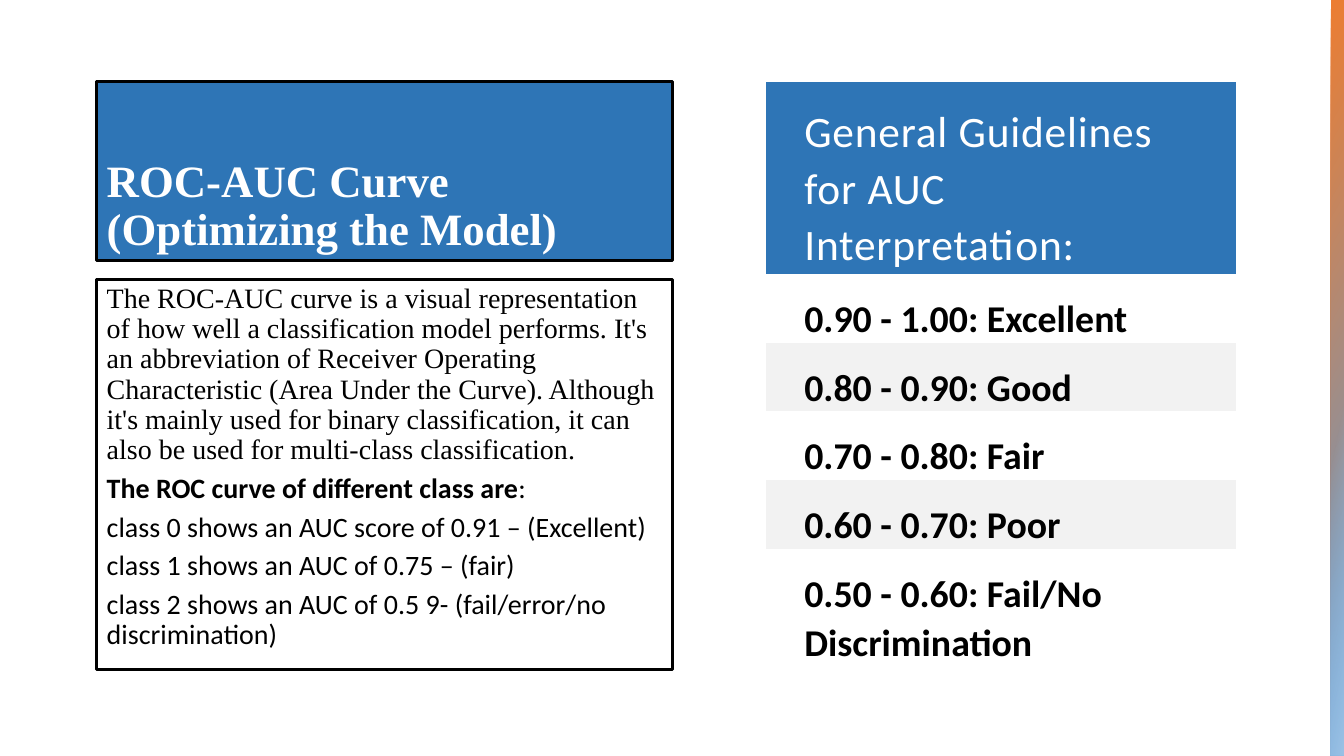
import lxml.etree
import pptx
import pptx.dml.color
import pptx.enum.shapes
import pptx.enum.text
import pptx.oxml
import pptx.oxml.ns
import pptx.util

Cm, Pt = pptx.util.Cm, pptx.util.Pt
qn = pptx.oxml.ns.qn
Anchor = pptx.enum.text.MSO_ANCHOR

HUES = {"blue": "2E75B6", "white": "FFFFFF", "black": "000000", "grey": "F2F2F2",
        "orange": "ED7D31", "sky": "5B9BD5", "pale": "9DC3E6"}
SERIF = {"name": "Times New Roman", "bold": False}
SANS = {"name": "Calibri", "bold": False}
STRONG = {"name": "Calibri", "bold": True}

TITLE = [[("ROC-AUC Curve (Optimizing the Model)", {**SERIF, "bold": True})]]
BODY = [
    [("The ROC-AUC curve is a visual representation of how well a classification model "
      "performs. It's an abbreviation of Receiver Operating Characteristic (Area Under the "
      "Curve). Although it's mainly used for binary classification, it can also be used for "
      "multi-class classification.", SERIF)],
    [("The ROC curve of different class are", STRONG), (":", SANS)],
    [("class 0 shows an AUC score of 0.91 – (Excellent)", SANS)],
    [("class 1 shows an AUC of 0.75 – (fair)", SANS)],
    [("class 2 shows an AUC of 0.5 9- (fail/error/no discrimination)", SANS)],
]
HEAD = "General Guidelines for AUC Interpretation:"
BANDS = ["0.90 - 1.00: Excellent", "0.80 - 0.90: Good", "0.70 - 0.80: Fair",
         "0.60 - 0.70: Poor", "0.50 - 0.60: Fail/No Discrimination"]

WIDE, TALL = 33.87, 19.05
LEFT, TOP, SPAN = 2.44, 2.06, 14.5
GRID_X, GRID_W = 19.3, 11.86
HIGHS = [4.85] + [1.73] * 4 + [3.02]
STRIP = 0.33
LOW = 9.25
STRIPS = [
    (0, TALL, 30, [(0, "orange", 100), (100, "sky", 100)]),
    (TALL - LOW, LOW, 10, [(19, "pale", 0), (100, "pale", 100)]),
]
NO_STYLE = "{2D5ABB26-0587-4C30-8999-92F81FD0307C}"


def tint(name):
    return pptx.dml.color.RGBColor.from_string(HUES[name])


def apply(item, form):
    for key, value in form.items():
        setattr(item, key, value)


def write(frame, paras, size, hue, form):
    for num, runs in enumerate(paras):
        para = frame.paragraphs[0] if num == 0 else frame.add_paragraph()
        apply(para, form)
        for text, font in runs:
            run = para.add_run()
            run.text = text
            apply(run.font, {**font, "size": Pt(size)})
            run.font.color.rgb = tint(hue)


def block(slide, x, y, w, h):
    shape = slide.shapes.add_shape(
        pptx.enum.shapes.MSO_SHAPE.RECTANGLE, Cm(x), Cm(y), Cm(w), Cm(h))
    shape.shadow.inherit = False
    return shape


def paint(fill, hue):
    if hue:
        fill.solid()
        fill.fore_color.rgb = tint(hue)
    else:
        fill.background()


def panel(slide, y, h, fill, anchor, paras, size, hue, after):
    shape = block(slide, LEFT, y, SPAN, h)
    paint(shape.fill, fill)
    shape.line.color.rgb = tint("black")
    shape.line.width = Pt(2.25)
    apply(shape.text_frame, {"word_wrap": True, "vertical_anchor": anchor})
    write(shape.text_frame, paras, size, hue,
          {"alignment": pptx.enum.text.PP_ALIGN.LEFT, "line_spacing": 0.9,
           "space_after": Pt(after)})


def fade(slide, y, h, angle, stops):
    shape = block(slide, WIDE - STRIP, y, STRIP, h)
    shape.line.fill.background()
    shape.fill.gradient()
    grad = shape.element.spPr.find(qn("a:gradFill"))
    marks = grad.find(qn("a:gsLst"))
    for mark in list(marks):
        marks.remove(mark)
    for place, hue, alpha in stops:
        mark = lxml.etree.SubElement(marks, qn("a:gs"), pos=str(place * 1000))
        shade = lxml.etree.SubElement(mark, qn("a:srgbClr"), val=HUES[hue])
        lxml.etree.SubElement(shade, qn("a:alpha"), val=str(alpha * 1000))
    grad.find(qn("a:lin")).set("ang", str(angle * 60000))


def guide(slide):
    rows = [HEAD] + BANDS
    frame = slide.shapes.add_table(
        len(rows), 1, Cm(GRID_X), Cm(TOP), Cm(GRID_W), Cm(sum(HIGHS)))
    grid = frame.table
    apply(grid, {"first_row": False, "horz_banding": False})
    next(grid._tbl.iter(qn("a:tableStyleId"))).text = NO_STYLE
    for num, (text, high) in enumerate(zip(rows, HIGHS)):
        grid.rows[num].height = Cm(high)
        cell = grid.cell(num, 0)
        top = num == 0
        apply(cell, {"margin_left": Cm(0.97), "margin_right": Cm(0.97),
                     "margin_top": Cm(0.48), "margin_bottom": 0,
                     "vertical_anchor": Anchor.MIDDLE if top else Anchor.TOP})
        paint(cell.fill, "blue" if top else (None, "grey")[(num + 1) % 2 if num else 0])
        paint(cell.fill, "blue" if top else "grey" if num % 2 == 0 else None)
        write(cell.text_frame, [[(text, SANS if top else STRONG)]],
              31 if top else 27, "white" if top else "black", {"line_spacing": 1.07})
        if top:
            run = cell.text_frame.paragraphs[0].runs[0]
            run.font._element.set("spc", "60")


def main():
    """Build the slide on the ROC-AUC curve and save it."""
    deck = pptx.Presentation()
    apply(deck, {"slide_width": Cm(WIDE), "slide_height": Cm(TALL)})
    slide = deck.slides.add_slide(deck.slide_layouts[6])
    panel(slide, TOP, 4.5, "blue", Anchor.BOTTOM, TITLE, 32, "white", 0)
    panel(slide, 7.04, 9.83, None, Anchor.TOP, BODY, 20, "black", 6)
    for strip in STRIPS:
        fade(slide, *strip)
    guide(slide)
    deck.save("out.pptx")


if __name__ == "__main__":
    main()
